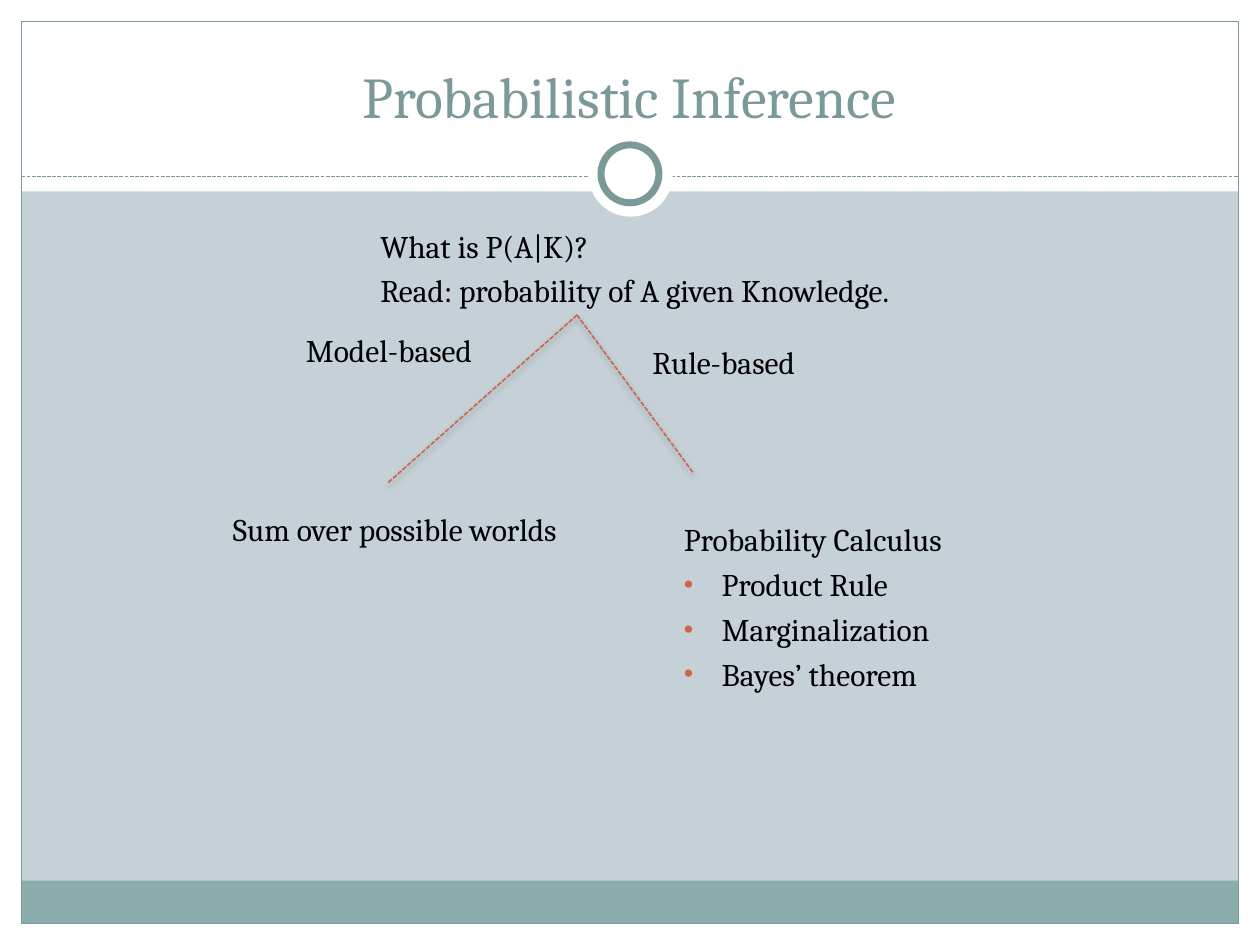
from lxml.etree import SubElement
from pptx import Presentation
from pptx.dml.color import RGBColor
from pptx.enum.dml import MSO_LINE_DASH_STYLE as Dash
from pptx.enum.shapes import MSO_CONNECTOR, MSO_SHAPE
from pptx.enum.text import MSO_ANCHOR, MSO_AUTO_SIZE, PP_ALIGN
from pptx.oxml.ns import qn
from pptx.util import Inches, Pt

FONT = "Cambria"
WHITE, BLACK, TEAL, BAND, ACCENT, GROUND = (
    "FFFFFF", "000000", "7C999A", "8CADAE", "D16349", "C5D1D7")
WIDTH, HEIGHT, MARGIN = 10, 7.5, 0.17
INNER = WIDTH - 2 * MARGIN

TITLE = "Probabilistic Inference"
BULLET = "•"
# box, lines; a leading bullet marks a list item
TEXTS = [
    ((2.92, 1.75, 5.17, 0.67),
     ["What is P(A|K)?", "Read: probability of A given Knowledge."]),
    ((2.33, 2.58, 2.5, 0.75), ["Model-based"]),
    ((1.75, 4, 3.5, 0.75), ["Sum over possible worlds"]),
    ((5.08, 2.67, 1.75, 0.75), ["Rule-based"]),
    ((5.33, 4.08, 2.5, 1.58),
     ["Probability Calculus", "•Product Rule", "•Marginalization", "•Bayes’ theorem"]),
]
BRANCH_START = (4.58, 2.5)
BRANCH_ENDS = [(3.08, 3.83), (5.5, 3.75)]

RECT, OVAL = MSO_SHAPE.RECTANGLE, MSO_SHAPE.OVAL
# preset, box, fill, line colour, line width
FRAME = [
    (RECT, (0, HEIGHT - MARGIN, WIDTH, MARGIN), WHITE, None, 0),
    (RECT, (0, 0, WIDTH, 1.52), WHITE, None, 0),
    (RECT, (0, 0, MARGIN, HEIGHT), WHITE, None, 0),
    (RECT, (WIDTH - MARGIN, 0, MARGIN, HEIGHT), WHITE, None, 0),
    (RECT, (MARGIN, 6.99, INNER, 0.34), BAND, None, 0),
    (RECT, (MARGIN, MARGIN, INNER, HEIGHT - 2 * MARGIN), None, TEAL, 0.75),
]
RING = [
    (OVAL, (4.67, 1.05, 0.67, 0.67), WHITE, None, 0),
    (OVAL, (4.77, 1.15, 0.46, 0.46), WHITE, TEAL, 4),
]


def rgb(value):
    return RGBColor.from_string(value)


def inches(values):
    return [Inches(value) for value in values]


def paint(fill, colour):
    if colour:
        fill.solid()
        fill.fore_color.rgb = rgb(colour)
    else:
        fill.background()


def add_shapes(slide, items):
    for preset, box, fill, line, width in items:
        shape = slide.shapes.add_shape(preset, *inches(box))
        shape.shadow.inherit = False
        paint(shape.fill, fill)
        paint(shape.line.fill, line)
        if line:
            shape.line.width = Pt(width)


def add_dashed_line(slide, start, end, colour, width, shadow=False):
    line = slide.shapes.add_connector(MSO_CONNECTOR.STRAIGHT, *inches(start + end))
    line.line.color.rgb = rgb(colour)
    line.line.width = Pt(width)
    line.line.dash_style = Dash.SQUARE_DOT
    effects = SubElement(line._element.spPr, qn("a:effectLst"))
    if shadow:
        outer = SubElement(effects, qn("a:outerShdw"), blurRad=str(Pt(4)),
                           dist=str(Pt(2)), dir="5400000", rotWithShape="0")
        black = SubElement(outer, qn("a:srgbClr"), val=BLACK)
        SubElement(black, qn("a:alpha"), val="35000")


def set_font(run, size, colour):
    for name, value in {"name": FONT, "size": Pt(size), "bold": False}.items():
        setattr(run.font, name, value)
    run.font.color.rgb = rgb(colour)


def add_title(slide):
    title = slide.shapes.title
    box = dict(zip(("left", "top", "width", "height"), inches((0.33, 0.25, 9.33, 0.83))))
    for name, value in box.items():
        setattr(title, name, value)
    frame = title.text_frame
    frame.text = TITLE
    frame.auto_size = MSO_AUTO_SIZE.NONE
    frame.vertical_anchor = MSO_ANCHOR.BOTTOM
    frame.paragraphs[0].alignment = PP_ALIGN.CENTER
    set_font(frame.paragraphs[0].runs[0], 33, TEAL)
    slide.shapes._spTree.append(title._element)  # in front of the white header


def add_text(slide, box, lines):
    frame = slide.shapes.add_textbox(*inches(box)).text_frame
    frame.word_wrap = True
    for index, line in enumerate(lines):
        paragraph = frame.add_paragraph() if index else frame.paragraphs[0]
        paragraph.space_before = Pt(4)
        run = paragraph.add_run()
        run.text = line.removeprefix(BULLET)
        set_font(run, 18, BLACK)
        properties = paragraph._p.get_or_add_pPr()
        properties.set("marL", str(Inches(0.3)))
        properties.set("indent", str(Inches(-0.3)))
        if line.startswith(BULLET):
            colour = SubElement(properties, qn("a:buClr"))
            SubElement(colour, qn("a:srgbClr"), val=ACCENT)
            SubElement(properties, qn("a:buSzPct"), val="85000")
            SubElement(properties, qn("a:buFont"), typeface="Arial")
            SubElement(properties, qn("a:buChar"), char=BULLET)
        else:
            SubElement(properties, qn("a:buNone"))


def main():
    presentation = Presentation()
    presentation.slide_width, presentation.slide_height = inches((WIDTH, HEIGHT))
    slide = presentation.slides.add_slide(presentation.slide_layouts[5])
    paint(slide.background.fill, GROUND)
    add_shapes(slide, FRAME)
    add_dashed_line(slide, (MARGIN, 1.4), (WIDTH - MARGIN, 1.4), TEAL, 0.75)
    add_shapes(slide, RING)
    add_title(slide)
    for box, lines in TEXTS:
        add_text(slide, box, lines)
    for end in BRANCH_ENDS:
        add_dashed_line(slide, BRANCH_START, end, ACCENT, 0.9, shadow=True)
    presentation.save("out.pptx")


if __name__ == "__main__":
    main()
